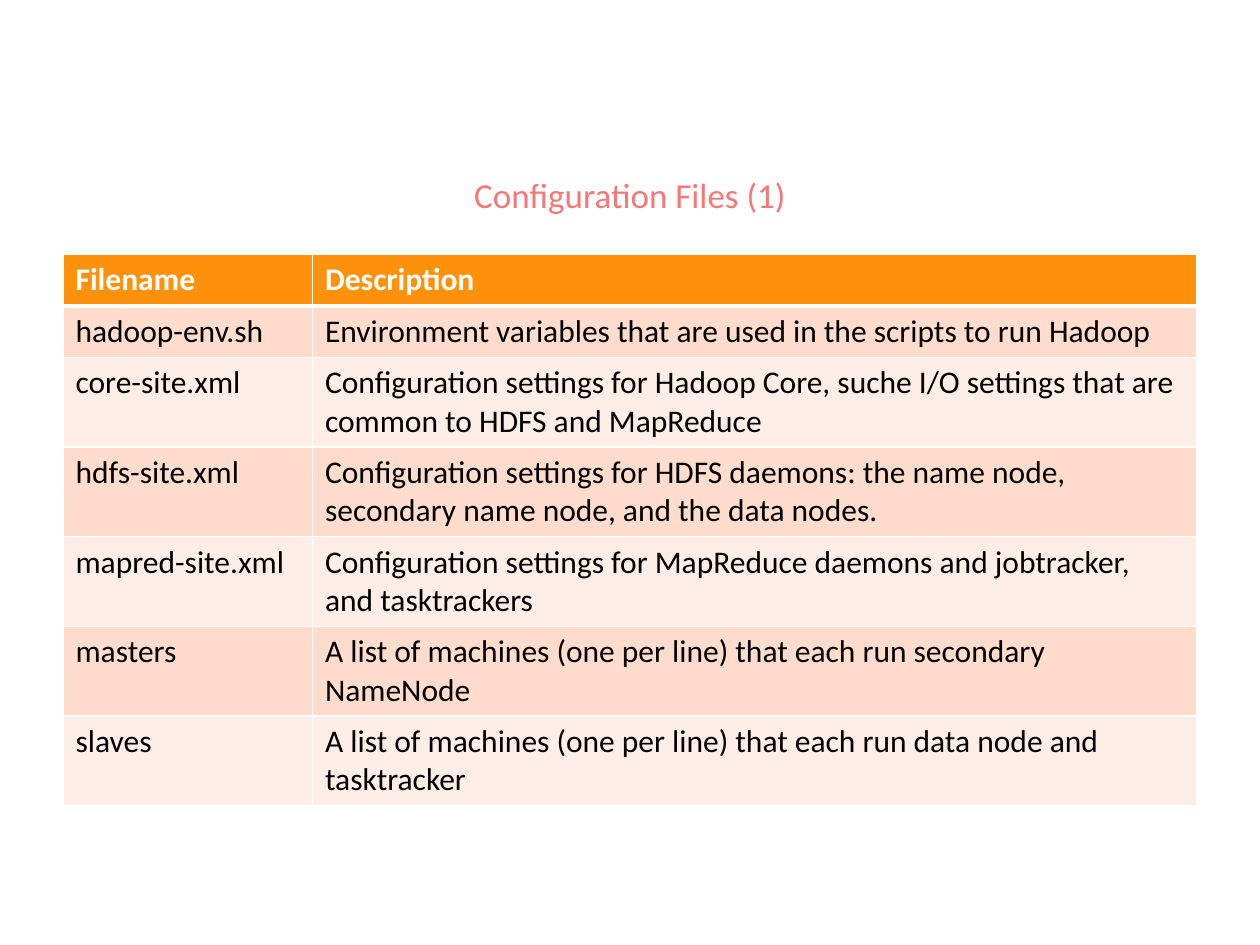
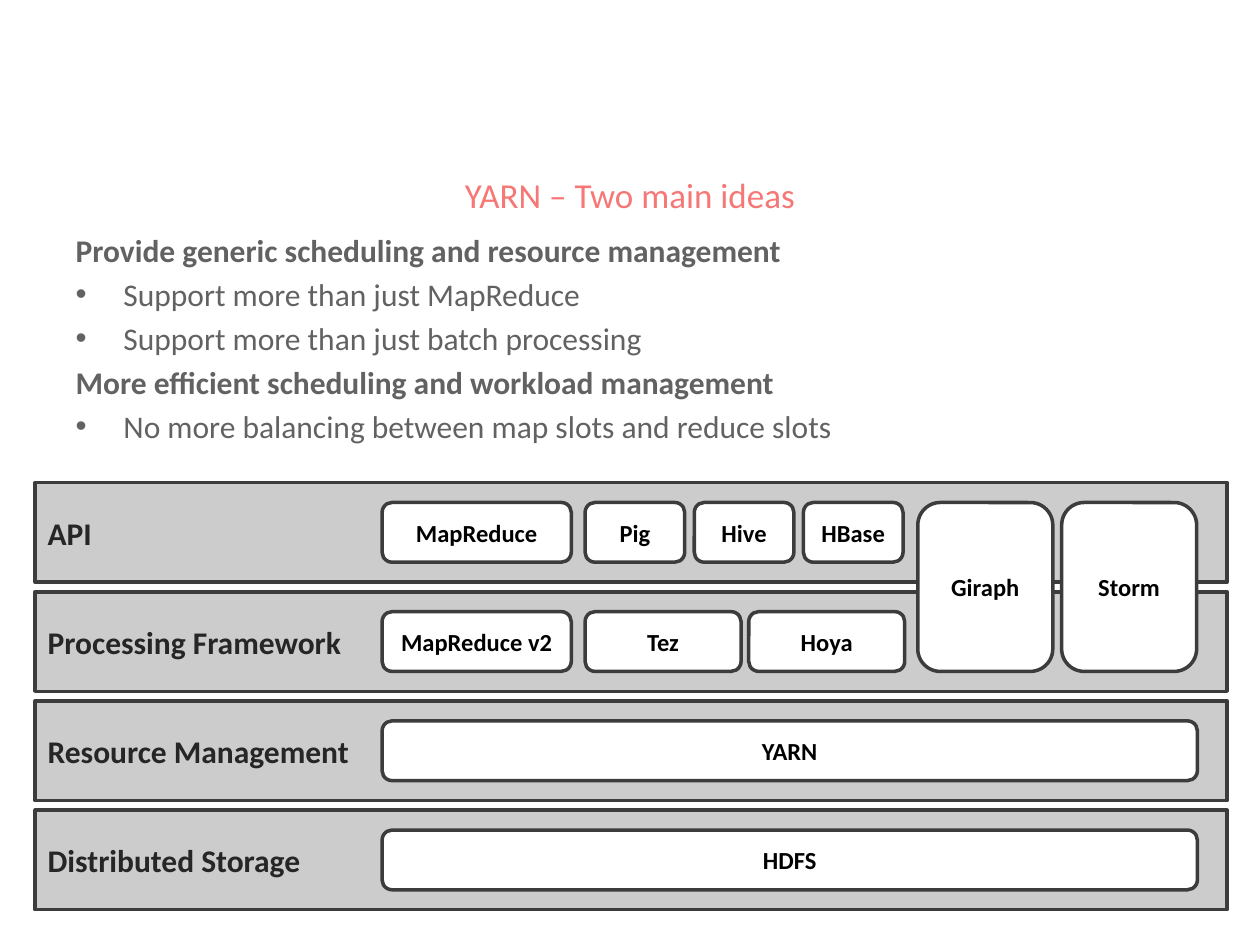
from dataclasses import dataclass

from lxml.etree import SubElement
from pptx import Presentation
from pptx.dml.color import RGBColor
from pptx.enum.shapes import MSO_SHAPE as Shape
from pptx.enum.text import MSO_ANCHOR as Anchor, MSO_AUTO_SIZE as AutoSize, PP_ALIGN as Align
from pptx.oxml.ns import qn
from pptx.util import Inches, Pt


@dataclass(frozen=True)
class Theme:
    font: str = "Calibri"
    title: str = "F57876"
    body: str = "626262"
    white: str = "FFFFFF"
    black: str = "000000"
    header: str = "FF910B"
    stripes: tuple = ("FFDCCC", "FFEEE7")
    band: str = "CCCCCC"
    band_text: str = "262626"
    outline: str = "3C3C3C"
    title_size: int = 20
    text_size: int = 18
    tile_size: int = 14
    outline_width: int = 2
    rule: int = 1
    header_rule: int = 3


THEME = Theme()


@dataclass(frozen=True)
class Box:
    left: float
    top: float
    width: float
    height: float

    def percent(self, left, top, width, height):
        return Box(
            self.left + self.width * left / 100,
            self.top + self.height * top / 100,
            self.width * width / 100,
            self.height * height / 100,
        )

    def split_columns(self, count, gap):
        size = (100 - gap * (count - 1)) / count
        return [self.percent(i * (size + gap), 0, size, 100) for i in range(count)]

    def split_rows(self, count, gap):
        size = (100 - gap * (count - 1)) / count
        return [self.percent(0, i * (size + gap), 100, size) for i in range(count)]

    def down_to(self, other):
        return Box(self.left, self.top, self.width, other.top + other.height - self.top)

    def lengths(self):
        return [Inches(v) for v in (self.left, self.top, self.width, self.height)]


@dataclass(frozen=True)
class TileGroup:
    names: tuple
    first_layer: int
    last_layer: int
    left: float = 0
    width: float = 100
    gap: float = 0


PAGE = Box(0, 0, 10, 7.5)
TITLE_BOX = PAGE.percent(5, 15.33, 90, 10.53)
TABLE_BOX = PAGE.percent(5, 26.93, 90, 57.47)
IDEAS_BOX = PAGE.percent(5, 23.73, 90, 29.33)
STACK_BOX = PAGE.percent(2.8, 51.07, 94.6, 45.2)

FILES = [
    ("Filename", "Description"),
    ("hadoop-env.sh", "Environment variables that are used in the scripts to run Hadoop"),
    ("core-site.xml", "Configuration settings for Hadoop Core, suche I/O settings that are "
                      "common to HDFS and MapReduce"),
    ("hdfs-site.xml", "Configuration settings for HDFS daemons: the name node, "
                      "secondary name node, and the data nodes."),
    ("mapred-site.xml", "Configuration settings for MapReduce daemons and jobtracker, "
                        "and tasktrackers"),
    ("masters", "A list of machines (one per line) that each run secondary NameNode"),
    ("slaves", "A list of machines (one per line) that each run data node and tasktracker"),
]

IDEAS = {
    "Provide generic scheduling and resource management": [
        "Support more than just MapReduce",
        "Support more than just batch processing",
    ],
    "More efficient scheduling and workload management": [
        "No more balancing between map slots and reduce slots",
    ],
}

LAYERS = ["API", "Processing Framework", "Resource Management", "Distributed Storage"]

TILE_GROUPS = [
    TileGroup(("MapReduce",), 0, 0, width=23.2),
    TileGroup(("MapReduce v2",), 1, 1, width=23.2),
    TileGroup(("YARN",), 2, 2),
    TileGroup(("HDFS",), 3, 3),
    TileGroup(("Tez", "Hoya"), 1, 1, left=24.9, width=39.2, gap=2.4),
    TileGroup(("Pig", "Hive", "HBase"), 0, 0, left=24.9, width=39, gap=3),
    TileGroup(("Giraph", "Storm"), 0, 1, left=65.7, width=34.2, gap=3.2),
]


def write(para, text, color, size, bold=False, align=Align.LEFT):
    para.alignment = align
    span = para.add_run()
    span.text = text
    formats = {"name": THEME.font, "size": Pt(size), "bold": bold}
    for name, value in formats.items():
        setattr(span.font, name, value)
    span.font.color.rgb = RGBColor.from_string(color)


def place(shape, box):
    for name, value in zip(("left", "top", "width", "height"), box.lengths()):
        setattr(shape, name, value)


def paint(target, color):
    target.fill.solid()
    target.fill.fore_color.rgb = RGBColor.from_string(color)


def add_page(deck, layout, title):
    page = deck.slides.add_slide(deck.slide_layouts.get_by_name(layout))
    holder = page.shapes.title
    place(holder, TITLE_BOX)
    frame = holder.text_frame
    frame.auto_size, frame.vertical_anchor = AutoSize.NONE, Anchor.MIDDLE
    write(frame.paragraphs[0], title, THEME.title, THEME.title_size, align=Align.CENTER)
    return page


def rule_cell(cell, widths):
    properties = cell._tc.get_or_add_tcPr()
    for side, width in widths.items():
        line = SubElement(properties, qn(f"a:ln{side}"), w=str(Pt(width)))
        fill = SubElement(line, qn("a:solidFill"))
        SubElement(fill, qn("a:srgbClr"), val=THEME.white)


def add_file_table(page, box):
    graphic = page.shapes.add_table(len(FILES), 2, *box.lengths())
    table = graphic.table
    for column, share in zip(table.columns, (22, 78)):
        column.width = Inches(box.width * share / 100)
    for index, (row, texts) in enumerate(zip(table.rows, FILES)):
        row.height = Inches(box.height * 9.5 / 100)
        is_header = index == 0
        widths = dict.fromkeys("LRTB", THEME.rule)
        if index < 2:
            widths["B" if is_header else "T"] = THEME.header_rule
        fill = THEME.header if is_header else THEME.stripes[(index - 1) % 2]
        color = THEME.white if is_header else THEME.black
        for cell, text in zip(row.cells, texts):
            rule_cell(cell, widths)
            paint(cell, fill)
            write(cell.text_frame.paragraphs[0], text, color, THEME.text_size, is_header)
    graphic.height = Inches(box.height)


def add_ideas(page, box):
    holder = page.placeholders[1]
    place(holder, box)
    frame = holder.text_frame
    frame.auto_size, frame.vertical_anchor = AutoSize.NONE, Anchor.TOP
    lines = [
        (text, text == heading)
        for heading, points in IDEAS.items()
        for text in (heading, *points)
    ]
    for index, (text, is_heading) in enumerate(lines):
        para = frame.add_paragraph() if index else frame.paragraphs[0]
        properties = para._p.get_or_add_pPr()
        indent = 0 if is_heading else Inches(0.38)
        properties.set("marL", str(indent))
        properties.set("indent", str(-indent))
        if is_heading:
            SubElement(properties, qn("a:buNone"))
        else:
            SubElement(properties, qn("a:buChar"), char="•")
        if index == 0:
            para.space_before = Pt(0)
        write(para, text, THEME.body, THEME.text_size, is_heading)


def add_block(page, kind, box, text, fill, color, size, align):
    block = page.shapes.add_shape(kind, *box.lengths())
    block.shadow.inherit = False
    paint(block, fill)
    block.line.color.rgb = RGBColor.from_string(THEME.outline)
    block.line.width = Pt(THEME.outline_width)
    frame = block.text_frame
    frame.word_wrap, frame.vertical_anchor = True, Anchor.MIDDLE
    write(frame.paragraphs[0], text, color, size, True, align)


def add_stack(page, box):
    bands = box.split_rows(len(LAYERS), 2.26)
    for band, layer in zip(bands, LAYERS):
        add_block(page, Shape.RECTANGLE, band, layer, THEME.band,
                  THEME.band_text, THEME.text_size, Align.LEFT)
    lanes = [band.percent(29.1, 20, 68.4, 60) for band in bands]
    for group in TILE_GROUPS:
        lane = lanes[group.first_layer].down_to(lanes[group.last_layer])
        area = lane.percent(group.left, 0, group.width, 100)
        for tile, name in zip(area.split_columns(len(group.names), group.gap), group.names):
            add_block(page, Shape.ROUNDED_RECTANGLE, tile, name, THEME.white,
                      THEME.black, THEME.tile_size, Align.CENTER)


def main():
    deck = Presentation()
    deck.slide_width, deck.slide_height = Inches(PAGE.width), Inches(PAGE.height)

    files_page = add_page(deck, "Title Only", "Configuration Files (1)")
    add_file_table(files_page, TABLE_BOX)

    yarn_page = add_page(deck, "Title and Content", "YARN – Two main ideas")
    add_ideas(yarn_page, IDEAS_BOX)
    add_stack(yarn_page, STACK_BOX)

    deck.save("out.pptx")


if __name__ == "__main__":
    main()
